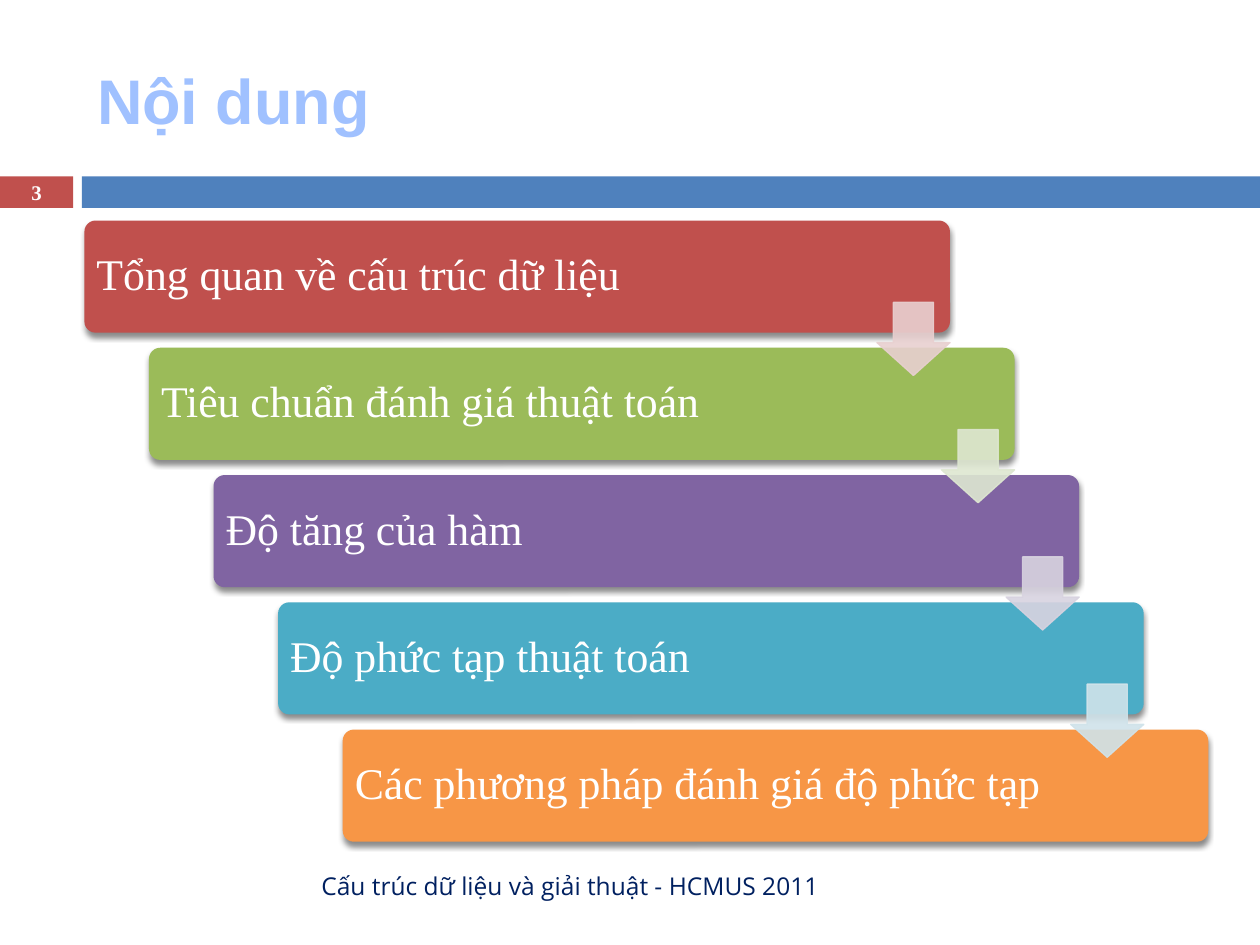
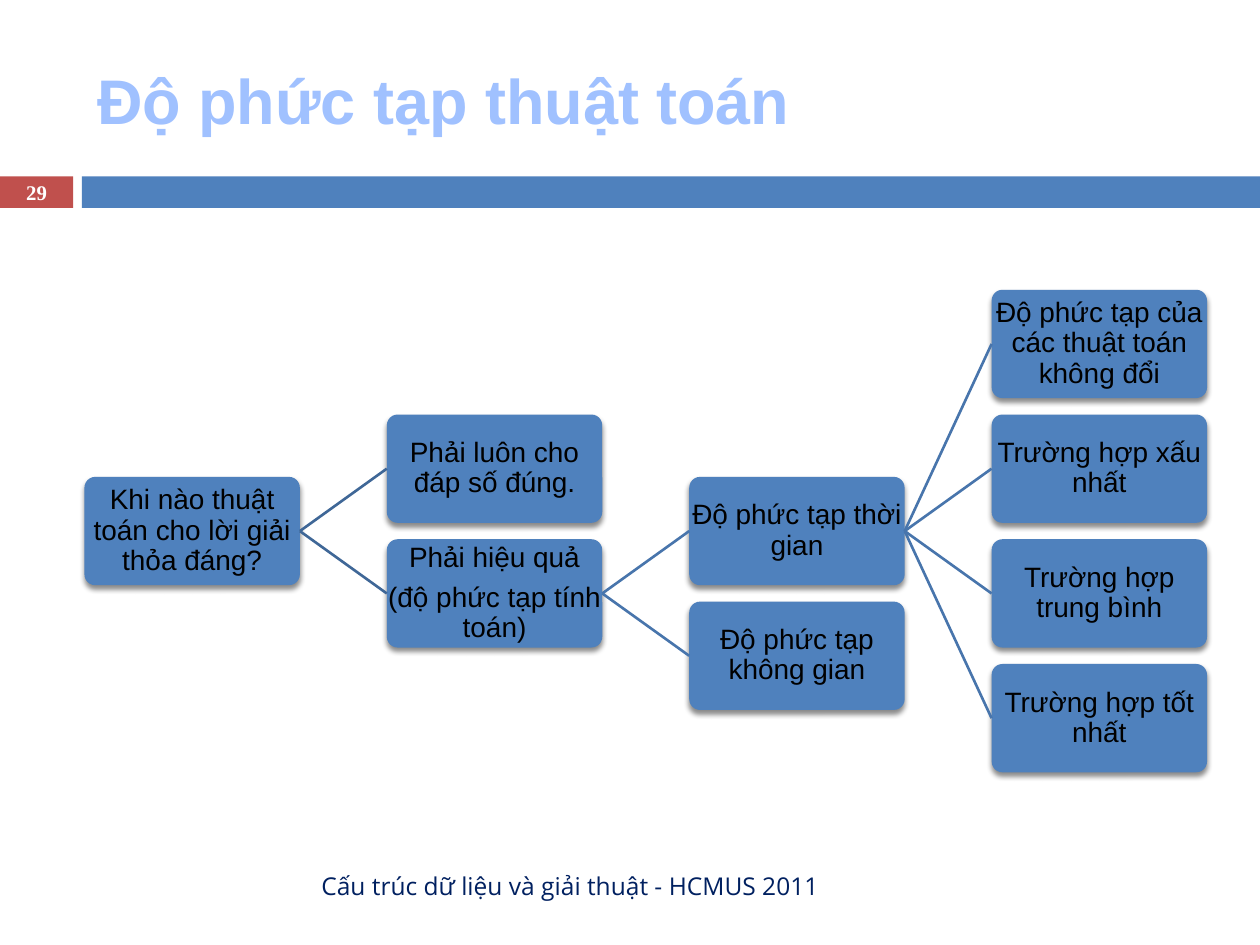
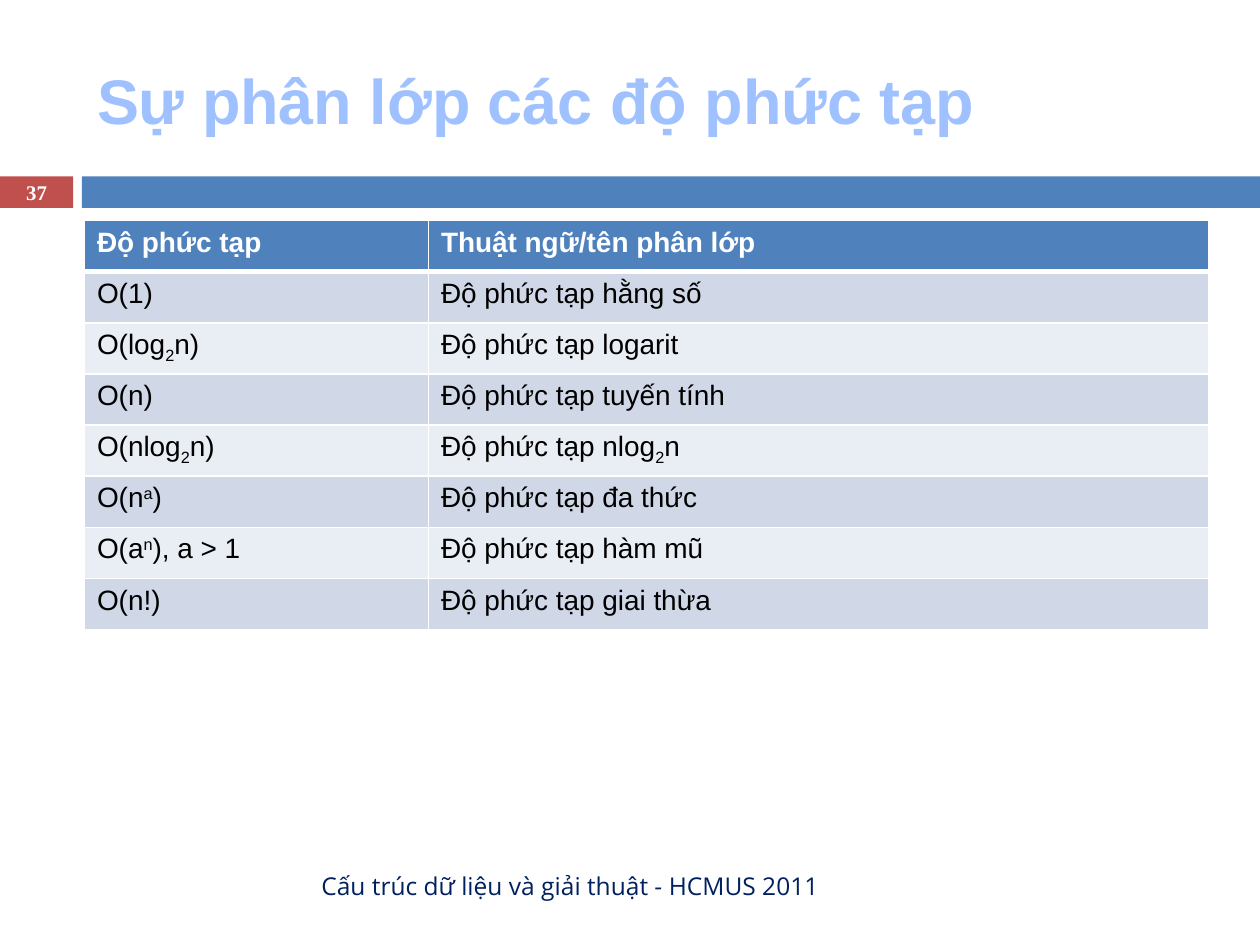
import pptx
import pptx.util
import pptx.oxml
import pptx.oxml.ns
import pptx.dml.color
import pptx.enum.shapes
import pptx.enum.text

Inches, Pt = pptx.util.Inches, pptx.util.Pt
SHAPE = pptx.enum.shapes.MSO_SHAPE
ALIGN = pptx.enum.text.PP_ALIGN
MIDDLE = pptx.enum.text.MSO_ANCHOR.MIDDLE
NAMESPACE = 'xmlns:a="http://schemas.openxmlformats.org/drawingml/2006/main"'

RED, BLUE, WHITE, BLACK = "C0504D", "4F81BD", "FFFFFF", "000000"
TITLE_COLOUR, FOOTER_COLOUR = "A0C1FF", "002060"
SANS, SERIF, FOOTER_FONT = "Arial", "Times New Roman", "Open Sans"
FOOTER = "Cấu trúc dữ liệu và giải thuật - HCMUS 2011"
LEFT, TOP, WIDTH = 0.67, 1.75, 8.92
BANDS = [((0, 1.4, 0.58, 0.25), RED), ((0.65, 1.4, 9.35, 0.25), BLUE)]

STEPS = [
    ("Tổng quan về cấu trúc dữ liệu", RED, "E8D0D0"),
    ("Tiêu chuẩn đánh giá thuật toán", "9BBB59", "DEE7D1"),
    ("Độ tăng của hàm", "8064A2", "D8D3E0"),
    ("Độ phức tạp thuật toán", "4BACC6", "D0E3EA"),
    ("Các phương pháp đánh giá độ phức tạp", "F79646", None),
]

TREE = (["Khi nào thuật toán cho lời giải thỏa đáng?"], [
    (["Phải luôn cho đáp số đúng."], []),
    (["Phải hiệu quả", "(độ phức tạp tính toán)"], [
        (["Độ phức tạp thời gian"], [
            (["Độ phức tạp của các thuật toán không đổi"], []),
            (["Trường hợp xấu nhất"], []),
            (["Trường hợp trung bình"], []),
            (["Trường hợp tốt nhất"], []),
        ]),
        (["Độ phức tạp không gian"], []),
    ]),
])
BRANCH_COLOURS = ["3F6797", "4875AC", "4875AC"]

SUB, SUPER = -25000, 30000
CLASSES = [
    (["Độ phức tạp"], ["Thuật ngữ/tên phân lớp"]),
    (["O(1)"], ["Độ phức tạp hằng số"]),
    (["O(log", ("2", SUB), "n)"], ["Độ phức tạp logarit"]),
    (["O(n)"], ["Độ phức tạp tuyến tính"]),
    (["O(nlog", ("2", SUB), "n)"], ["Độ phức tạp nlog", ("2", SUB), "n"]),
    (["O(n", ("a", SUPER), ")"], ["Độ phức tạp đa thức"]),
    (["O(a", ("n", SUPER), "), a > 1"], ["Độ phức tạp hàm mũ"]),
    (["O(n!)"], ["Độ phức tạp giai thừa"]),
]
COLUMN_WIDTHS = [2.73, 6.19]


def rgb(colour):
    return pptx.dml.color.RGBColor.from_string(colour)


def xml(tag, attributes="", content=""):
    return pptx.oxml.parse_xml(f"<a:{tag} {NAMESPACE} {attributes}>{content}</a:{tag}>")


def place(left, top, width, height):
    return [Inches(value) for value in (left, top, width, height)]


def style(para, font, size, colour, bold=False, align=ALIGN.LEFT):
    para.alignment = align
    para.font.name = font
    para.font.size = Pt(size)
    para.font.bold = bold
    para.font.color.rgb = rgb(colour)


def add_block(page, kind, area, fill, adjustments=()):
    block = page.shapes.add_shape(kind, *place(*area))
    block.shadow.inherit = False
    block.fill.solid()
    block.fill.fore_color.rgb = rgb(fill)
    block.line.fill.background()
    for index, value in enumerate(adjustments):
        block.adjustments[index] = value
    return block


def add_card(page, area, fill, lines, margin, **text_style):
    card = add_block(page, SHAPE.ROUNDED_RECTANGLE, area, fill, [0.1])
    effects = card._element.spPr.find(pptx.oxml.ns.qn("a:effectLst"))
    effects.append(xml(
        "outerShdw",
        f'blurRad="{Pt(3)}" dist="{Pt(2.4)}" dir="5400000" rotWithShape="0"',
        f'<a:srgbClr val="{BLACK}"><a:alpha val="45000"/></a:srgbClr>'))
    frame = card.text_frame
    frame.word_wrap = True
    frame.vertical_anchor = MIDDLE
    frame.margin_left = frame.margin_right = Inches(margin)
    frame.margin_top = frame.margin_bottom = Inches(margin)
    frame.text = "\n".join(lines)
    for para in frame.paragraphs:
        style(para, **text_style)
        para.line_spacing = 0.9
        para.space_after = Pt(0.35 * text_style["size"])
    return card


def add_label(page, area, text, **text_style):
    label = page.shapes.add_textbox(*place(*area))
    label.text_frame.word_wrap = True
    label.text_frame.vertical_anchor = MIDDLE
    label.text_frame.text = text
    style(label.text_frame.paragraphs[0], **text_style)


def add_page(deck, title, number):
    page = deck.slides.add_slide(deck.slide_layouts[5])
    heading = page.shapes.title
    heading.left, heading.top, heading.width, heading.height = place(LEFT, 0.25, WIDTH, 1.08)
    heading.text_frame.text = title
    heading.text_frame.vertical_anchor = MIDDLE
    style(heading.text_frame.paragraphs[0], SANS, 36, TITLE_COLOUR, bold=True)
    add_label(page, (LEFT, 6.83, 5.93, 0.4), FOOTER,
              font=FOOTER_FONT, size=14, colour=FOOTER_COLOUR, align=ALIGN.RIGHT)
    add_label(page, (0, 1.39, 0.58, 0.27), str(number),
              font=SERIF, size=11.9, colour=WHITE, bold=True, align=ALIGN.CENTER)
    return page


def move_bands_to_layout(page):
    tree = page.slide_layout.shapes.element
    for area, fill in BANDS:
        tree.append(add_block(page, SHAPE.RECTANGLE, area, fill)._element)


def draw_steps(page):
    width, height, arrow_size = 6.87, 0.89, 0.58
    step_x = (WIDTH - width) / (len(STEPS) - 1)
    step_y = 1.01
    corners = [(LEFT + i * step_x, TOP + i * step_y) for i in range(len(STEPS))]
    for (left, top), (text, fill, _) in zip(corners, STEPS):
        add_card(page, (left, top, width, height), fill, [text], 0.07,
                 font=SERIF, size=25, colour=WHITE)
    for (left, top), (_, _, tint) in zip(corners[:-1], STEPS):
        area = (left + width - arrow_size, top + 0.65, arrow_size, arrow_size)
        arrow = add_block(page, SHAPE.DOWN_ARROW, area, tint, [0.55, 0.45])
        arrow.line.color.rgb = rgb(tint)
        arrow.line.width = Pt(0.79)
        for colour in arrow._element.spPr.iter(pptx.oxml.ns.qn("a:srgbClr")):
            colour.append(xml("alpha", 'val="90000"'))


def draw_branch(page, node, level=0, slot=1.5):
    lines, children = node
    area = (LEFT + 2.4 * level, 2.3 + 0.99 * slot, 1.71, 0.86)
    card = add_card(page, area, BLUE, lines, -0.02,
                    font=SANS, size=16, colour=BLACK, align=ALIGN.CENTER)
    for index, child in enumerate(children):
        child_slot = slot + index - (len(children) - 1) / 2
        child_card = draw_branch(page, child, level + 1, child_slot)
        branch = page.shapes.add_connector(pptx.enum.shapes.MSO_CONNECTOR.STRAIGHT, 0, 0, 0, 0)
        branch.begin_connect(card, 3)
        branch.end_connect(child_card, 1)
        branch.line.color.rgb = rgb(BRANCH_COLOURS[level])
        branch.line.width = Pt(1.5)
        branch._element.spPr.append(xml("effectLst"))
    return card


def fill_cell(cell, pieces, row):
    para = cell.text_frame.paragraphs[0]
    for piece in pieces:
        text, baseline = (piece, 0) if isinstance(piece, str) else piece
        span = para.add_run()
        span.text = text
        if baseline:
            span._r.get_or_add_rPr().set("baseline", str(baseline))
    style(para, SANS, 16, BLACK if row else WHITE, bold=row == 0)
    thick_side = {0: "B", 1: "T"}.get(row)
    for side in "LRTB":
        width = Pt(3 if side == thick_side else 1)
        cell._tc.get_or_add_tcPr().append(xml(
            f"ln{side}", f'w="{width}"',
            f'<a:solidFill><a:srgbClr val="{WHITE}"/></a:solidFill>'))
    cell.fill.solid()
    cell.fill.fore_color.rgb = rgb(BLUE if row == 0 else "D0D8E8" if row % 2 else "E9EDF4")


def draw_classes(page):
    area = place(LEFT, TOP, WIDTH, 3.25)
    table = page.shapes.add_table(len(CLASSES), len(COLUMN_WIDTHS), *area).table
    for column, width in zip(table.columns, COLUMN_WIDTHS):
        column.width = Inches(width)
    for row, contents in enumerate(CLASSES):
        for column, pieces in enumerate(contents):
            fill_cell(table.cell(row, column), pieces, row)


def main():
    deck = pptx.Presentation()
    deck.slide_width, deck.slide_height = Inches(10), Inches(7.5)
    outline = add_page(deck, "Nội dung", 3)
    move_bands_to_layout(outline)
    draw_steps(outline)
    draw_branch(add_page(deck, "Độ phức tạp thuật toán", 29), TREE)
    draw_classes(add_page(deck, "Sự phân lớp các độ phức tạp", 37))
    deck.save("out.pptx")


if __name__ == "__main__":
    main()
